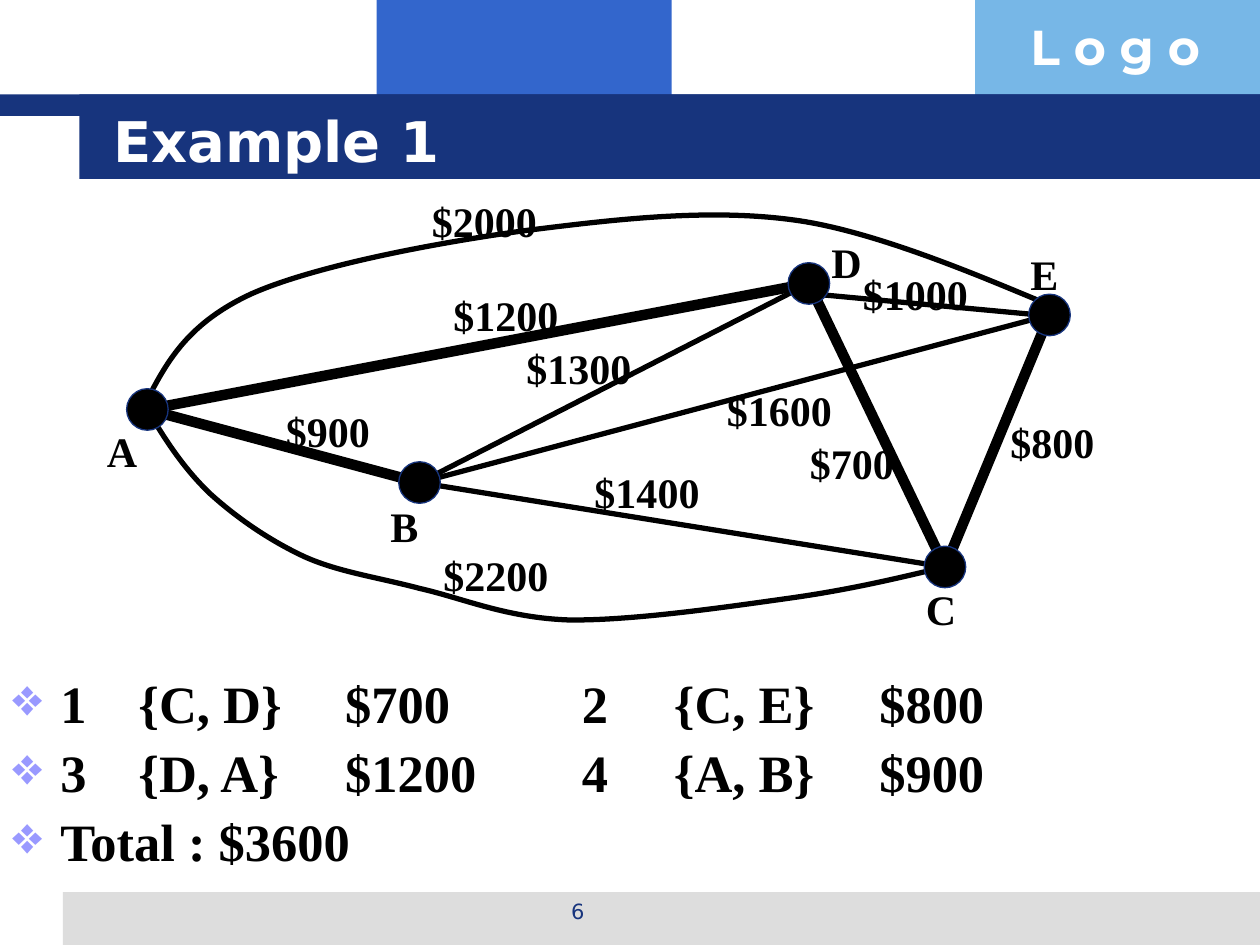
from dataclasses import dataclass

from lxml.etree import SubElement
from pptx import Presentation
from pptx.dml.color import RGBColor as Color
from pptx.enum.shapes import MSO_CONNECTOR as Connector, MSO_SHAPE as Shape
from pptx.enum.text import MSO_ANCHOR as Anchor, PP_ALIGN as Align
from pptx.oxml.ns import qn
from pptx.util import Inches, Pt


@dataclass(frozen=True)
class Theme:
    navy: str = "17347D"
    blue: str = "3366CC"
    sky: str = "77B7E7"
    grey: str = "DDDDDD"
    lilac: str = "9999FF"
    black: str = "000000"
    white: str = "FFFFFF"
    serif: str = "Times New Roman"
    sans: str = "DejaVu Sans"
    display: str = "Montserrat"
    title_size: int = 32
    body_size: int = 30
    logo_size: int = 28
    label_size: int = 24
    number_size: int = 12
    thin: int = 3
    thick: int = 6


class GraphSlide:
    """Draws the parts of a weighted graph slide in one theme."""

    def __init__(self, slide, theme):
        self.shapes = slide.shapes
        self.theme = theme

    def block(self, left, top, width, height, fill, kind=Shape.RECTANGLE):
        shape = self.shapes.add_shape(kind, *map(Inches, (left, top, width, height)))
        shape.shadow.inherit = False
        shape.fill.solid()
        shape.fill.fore_color.rgb = Color.from_string(fill)
        shape.line.fill.background()
        return shape

    def node(self, center):
        diameter = 0.33
        left, top = (value - diameter / 2 for value in center)
        shape = self.block(left, top, diameter, diameter, self.theme.black, Shape.OVAL)
        self.stroke(shape.line, self.theme.navy, 0.75)

    def stroke(self, line, color, width):
        line.color.rgb = Color.from_string(color)
        line.width = Pt(width)

    def edge(self, start, end, width):
        connector = self.shapes.add_connector(
            Connector.STRAIGHT, *map(Inches, (*start, *end))
        )
        self.stroke(connector.line, self.theme.black, width)
        SubElement(connector._element.spPr, qn("a:effectLst"))

    def curve(self, start, points):
        builder = self.shapes.build_freeform(*map(Inches, start))
        builder.add_line_segments(
            [(Inches(x), Inches(y)) for x, y in points], close=False
        )
        shape = builder.convert_to_shape()
        shape.shadow.inherit = False
        shape.fill.background()
        self.stroke(shape.line, self.theme.black, self.theme.thin)
        segments = list(shape._element.iter(qn("a:lnTo")))
        for first, second, third in zip(segments[::3], segments[1::3], segments[2::3]):
            bezier = SubElement(first.getparent(), qn("a:cubicBezTo"))
            for segment in (first, second, third):
                bezier.append(segment[0])
                segment.getparent().remove(segment)

    def text(self, box, lines, size, color, font, bold=True, align=Align.LEFT,
             anchor=Anchor.TOP):
        frame = self.shapes.add_textbox(*map(Inches, box)).text_frame
        frame.word_wrap = True
        frame.vertical_anchor = anchor
        for index, line in enumerate(lines):
            paragraph = frame.add_paragraph() if index else frame.paragraphs[0]
            paragraph.text = line
            paragraph.alignment = align
            paragraph.font.size = Pt(size)
            paragraph.font.bold = bold
            paragraph.font.name = font
            paragraph.font.color.rgb = Color.from_string(color)
        return frame

    def label(self, text, left, top, width):
        theme = self.theme
        self.text((left, top, width, 0.5), [text], theme.label_size, theme.black,
                  theme.serif)

    def bullets(self, box, lines, tab_stops):
        theme = self.theme
        frame = self.text(box, lines, theme.body_size, theme.black, theme.serif)
        for paragraph in frame.paragraphs:
            paragraph.line_spacing = 0.9
            paragraph.space_before = Pt(7)
            properties = paragraph._p.get_or_add_pPr()
            properties.set("marL", str(Inches(0.38)))
            properties.set("indent", str(Inches(-0.38)))
            bullet_color = SubElement(properties, qn("a:buClr"))
            SubElement(bullet_color, qn("a:srgbClr"), val=theme.lilac)
            SubElement(properties, qn("a:buChar"), char="❖")
            tabs = SubElement(properties, qn("a:tabLst"))
            for stop in tab_stops:
                SubElement(tabs, qn("a:tab"), pos=str(Inches(stop)), algn="l")
            properties.append(properties.find(qn("a:defRPr")))


def main():
    theme = Theme()
    presentation = Presentation()
    presentation.slide_width, presentation.slide_height = Inches(10), Inches(7.5)
    slide = presentation.slides.add_slide(presentation.slide_layouts[6])
    graph = GraphSlide(slide, theme)

    for block in (
        (2.99, 0, 2.34, 0.92, theme.blue),
        (7.74, 0, 2.26, 0.92, theme.sky),
        (0.5, 7.08, 9.5, 0.42, theme.grey),
        (0, 0.75, 10, 0.17, theme.navy),
        (0.63, 0.75, 9.37, 0.67, theme.navy),
    ):
        graph.block(*block)
    graph.text((8.08, 0.08, 1.92, 0.57), ["L o g o"], theme.logo_size, theme.white,
               theme.display)
    graph.text((3.42, 7.08, 2.33, 0.35), ["6"], theme.number_size, theme.navy,
               theme.sans, bold=False, align=Align.CENTER)
    graph.text((0.8, 0.8, 8.53, 0.62), ["Example 1"], theme.title_size, theme.white,
               theme.sans, anchor=Anchor.MIDDLE)
    graph.bullets(
        (0, 5.33, 9.92, 1.75),
        [
            "1\t{C, D}\t$700\t2\t{C, E}\t$800",
            "3\t{D, A}\t$1200\t4\t{A, B}\t$900",
            "Total : $3600",
        ],
        (1, 2.64, 4.52, 5.25, 6.88),
    )

    nodes = {
        "A": (1.17, 3.25),
        "B": (3.33, 3.83),
        "C": (7.5, 4.5),
        "D": (6.42, 2.25),
        "E": (8.33, 2.5),
    }
    for start, end in ("DB", "EB", "CB"):
        graph.edge(nodes[start], nodes[end], theme.thin)
    graph.edge((8.25, 2.5), (6.42, 2.33), theme.thin)
    for start, end in ("CE", "DC", "BA", "DA"):
        graph.edge(nodes[start], nodes[end], theme.thick)
    graph.curve((1.17, 3.17), [
        (1.33, 2.86), (1.5, 2.56), (2, 2.33),
        (2.5, 2.11), (3.44, 1.93), (4.17, 1.83),
        (4.89, 1.74), (5.64, 1.65), (6.33, 1.75),
        (7.03, 1.85), (8, 2.29), (8.33, 2.42),
    ])
    graph.curve(nodes["A"], [
        (1.31, 3.49), (1.46, 3.72), (1.67, 3.92),
        (1.88, 4.11), (2.14, 4.29), (2.42, 4.42),
        (2.69, 4.54), (2.99, 4.58), (3.33, 4.67),
        (3.68, 4.75), (4.01, 4.9), (4.5, 4.92),
        (4.99, 4.93), (5.75, 4.82), (6.25, 4.75),
        (6.75, 4.68), (7.12, 4.59), nodes["C"],
    ])
    for center in nodes.values():
        graph.node(center)

    for label in (
        ("D", 6.5, 1.83, 0.42),
        ("C", 7.25, 4.58, 0.5),
        ("A", 0.75, 3.33, 0.67),
        ("B", 3, 3.92, 0.5),
        ("E", 8.08, 1.92, 0.42),
        ("$900", 2.17, 3.17, 1),
        ("$1200", 3.5, 2.25, 1.08),
        ("$1300", 4.08, 2.67, 1.17),
        ("$1600", 5.67, 3, 1.25),
        ("$1000", 6.75, 2.08, 1.17),
        ("$700", 6.33, 3.42, 1),
        ("$800", 7.92, 3.26, 1),
        ("$2200", 3.42, 4.31, 1.33),
        ("$2000", 3.33, 1.5, 1.33),
        ("$1400", 4.62, 3.65, 1.33),
    ):
        graph.label(*label)

    presentation.save("out.pptx")


if __name__ == "__main__":
    main()
